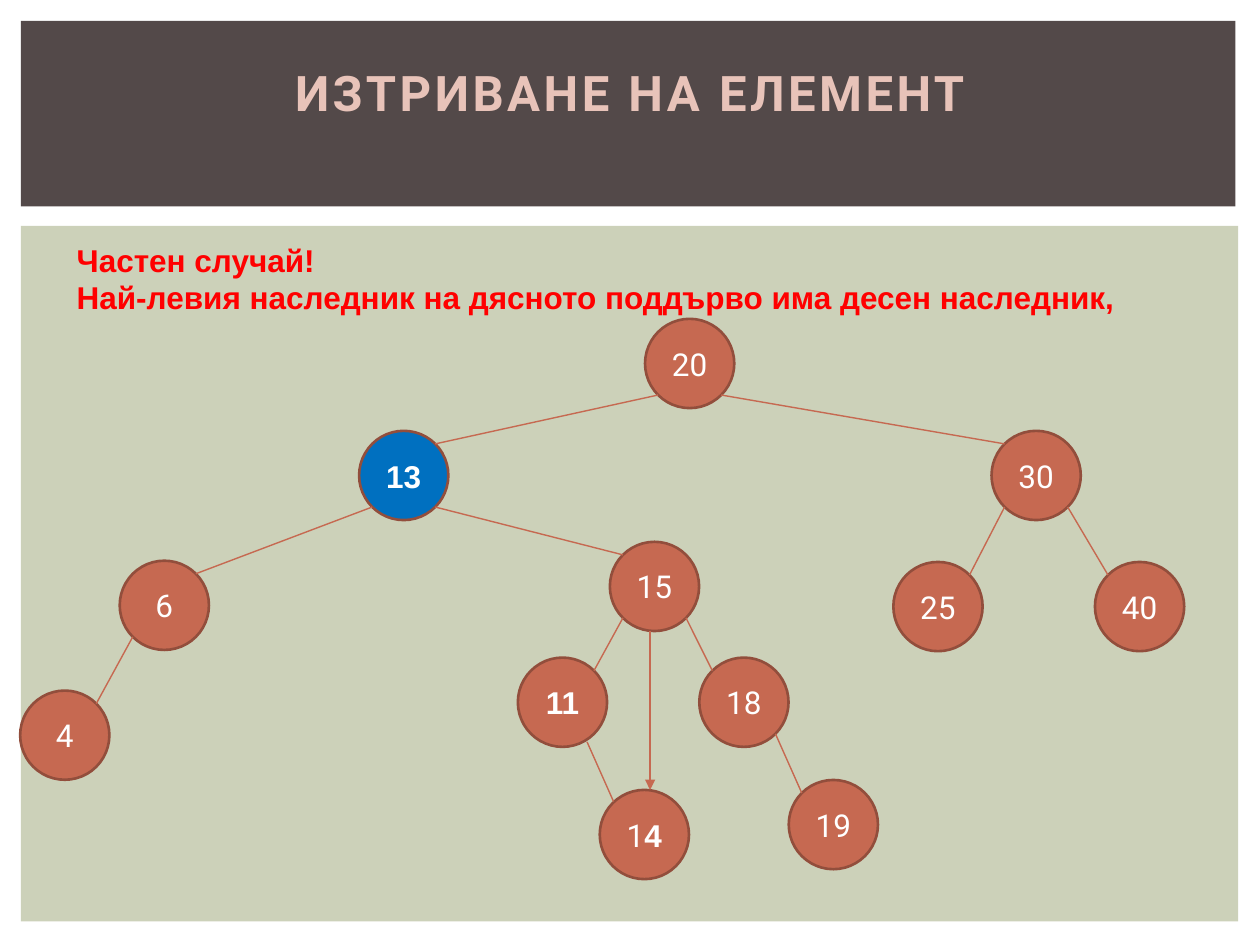
from dataclasses import dataclass

from lxml import etree
from pptx import Presentation
from pptx.dml.color import RGBColor
from pptx.enum.shapes import MSO_CONNECTOR, MSO_SHAPE
from pptx.enum.text import MSO_ANCHOR, PP_ALIGN
from pptx.oxml.ns import qn
from pptx.util import Pt

RECT, OVAL = MSO_SHAPE.RECTANGLE, MSO_SHAPE.OVAL
STRAIGHT = MSO_CONNECTOR.STRAIGHT
TOP, MIDDLE = MSO_ANCHOR.TOP, MSO_ANCHOR.MIDDLE
LEFT, CENTER = PP_ALIGN.LEFT, PP_ALIGN.CENTER


@dataclass(frozen=True)
class Theme:
    band: str = "534949"
    panel: str = "CCD1B9"
    title: str = "E8C3B9"
    note: str = "FF0000"
    node: str = "C66951"
    marked: str = "0070C0"
    outline: str = "924E3C"
    label: str = "FFFFFF"
    title_size: float = 28
    body_size: float = 18
    title_spacing: float = 2
    outline_width: float = 1.5
    edge_width: float = 0.79
    arrow_width: float = 0.75
    head_font: str = "Roboto"
    body_font: str = "Arial"


DIAMETER = 51
RADIUS = DIAMETER / 2
DIAGONAL = RADIUS * 0.5 ** 0.5

NODES = {
    "20": (368.6, 182.2),
    "13": (205.2, 246.2),
    "30": (566.6, 246.2),
    "6": (68.4, 320.4),
    "15": (348.5, 309.6),
    "25": (510.5, 321.1),
    "40": (625.7, 321.1),
    "4": (11.5, 394.6),
    "11": (295.9, 375.8),
    "18": (399.6, 375.8),
    "14": (342.7, 451.4),
    "19": (450.7, 445.7),
}
EDGES = [
    ("20", "13"), ("20", "30"), ("13", "6"), ("13", "15"), ("30", "25"),
    ("30", "40"), ("6", "4"), ("15", "11"), ("15", "18"), ("18", "19"),
]
BOLD_PARTS = {"13": ("", "13"), "11": ("", "11"), "14": ("1", "4")}


def rgb(value):
    return RGBColor.from_string(value)


def edge_ends(parent, child):
    (px, py), (cx, cy) = NODES[parent], NODES[child]
    side = DIAGONAL if cx > px else -DIAGONAL
    start = px + RADIUS + side, py + RADIUS + DIAGONAL
    end = cx + RADIUS - side, cy + RADIUS - DIAGONAL
    return start, end


class Deck:
    def __init__(self, theme):
        self.theme = theme
        self.prs = Presentation()
        self.prs.slide_width, self.prs.slide_height = Pt(720), Pt(540)
        self.s = self.prs.slides.add_slide(self.prs.slide_layouts[6])

    def shape(self, kind, box, fill, line=None):
        sp = self.s.shapes.add_shape(kind, *map(Pt, box))
        sp.shadow.inherit = False
        sp.fill.solid()
        sp.fill.fore_color.rgb = rgb(fill)
        if line:
            sp.line.color.rgb = rgb(line)
            sp.line.width = Pt(self.theme.outline_width)
        else:
            sp.line.fill.background()
        return sp

    def frame(self, tf, **formats):
        for name, value in formats.items():
            setattr(tf, name, value)

    def run(self, p, text, color, **formats):
        r = p.add_run()
        r.text = text
        for name, value in formats.items():
            setattr(r.font, name, value)
        r.font.color.rgb = rgb(color)
        return r

    def text(self, box, lines, color, align=LEFT, spacing=0, frame=None, **formats):
        tf = self.s.shapes.add_textbox(*map(Pt, box)).text_frame
        self.frame(tf, word_wrap=True, **(frame or {}))
        for i, line in enumerate(lines):
            p = tf.add_paragraph() if i else tf.paragraphs[0]
            p.alignment = align
            r = self.run(p, line, color, **formats)
            if spacing:
                r.font._element.set("spc", str(int(spacing * 100)))

    def node(self, label):
        t = self.theme
        fill = t.marked if label == "13" else t.node
        sp = self.shape(OVAL, (*NODES[label], DIAMETER, DIAMETER), fill, t.outline)
        tf = sp.text_frame
        self.frame(tf, vertical_anchor=MIDDLE, margin_left=0, margin_right=0,
                   margin_top=0, margin_bottom=0)
        p = tf.paragraphs[0]
        p.alignment = CENTER
        plain, bold = BOLD_PARTS.get(label, (label, ""))
        for part, font, weight in ((plain, t.head_font, False), (bold, t.body_font, True)):
            if part:
                self.run(p, part, t.label, name=font, size=Pt(t.body_size), bold=weight)

    def line(self, start, end, width, arrow=False):
        c = self.s.shapes.add_connector(STRAIGHT, *map(Pt, (*start, *end)))
        c.line.color.rgb = rgb(self.theme.node)
        c.line.width = Pt(width)
        if arrow:
            etree.SubElement(c.line._get_or_add_ln(), qn("a:tailEnd"), type="triangle")
        etree.SubElement(c._element.spPr, qn("a:effectLst"))


def main():
    t = Theme()
    deck = Deck(t)
    deck.shape(RECT, (12, 129, 695.5, 397.5), t.panel)
    deck.shape(RECT, (12, 12, 694, 106), t.band)
    deck.text((30, 28, 660, 83), ["ИЗТРИВАНЕ НА ЕЛЕМЕНТ"], t.title, CENTER, t.title_spacing,
              {"vertical_anchor": MIDDLE, "margin_bottom": Pt(37)},
              name=t.head_font, size=Pt(t.title_size), bold=True)
    deck.text((36.7, 134, 641, 50.4),
              ["Частен случай!",
               "Най-левия наследник на дясното поддърво има десен наследник,"],
              t.note, frame={"vertical_anchor": TOP},
              name=t.body_font, size=Pt(t.body_size), bold=True)
    for label in NODES:
        deck.node(label)
    for parent, child in EDGES:
        deck.line(*edge_ends(parent, child), t.edge_width)
    deck.line((335.5, 424), (350.6, 458), t.edge_width)
    deck.line((371.5, 360.7), (371.5, 451.4), t.arrow_width, arrow=True)
    deck.prs.save("out.pptx")


if __name__ == "__main__":
    main()
